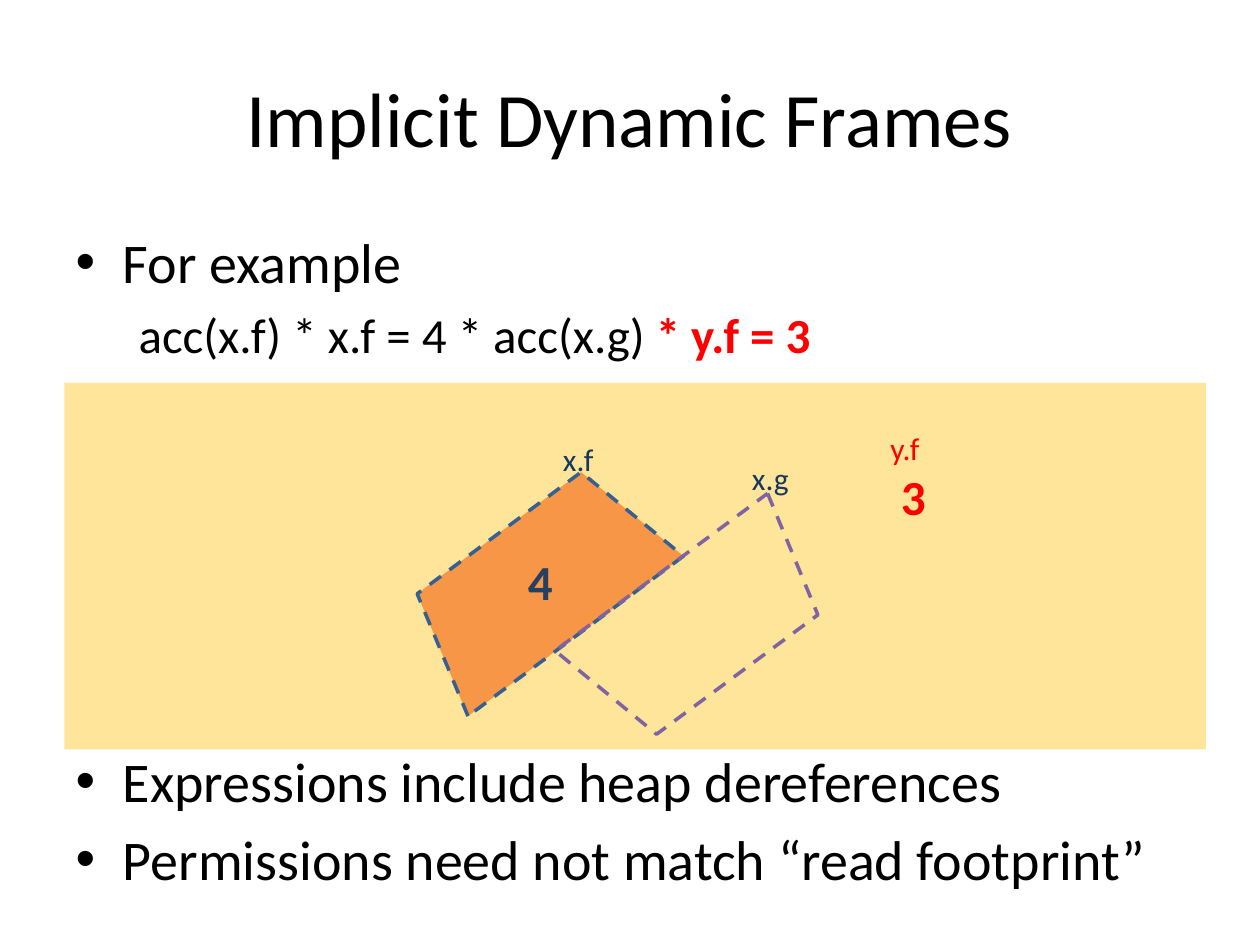
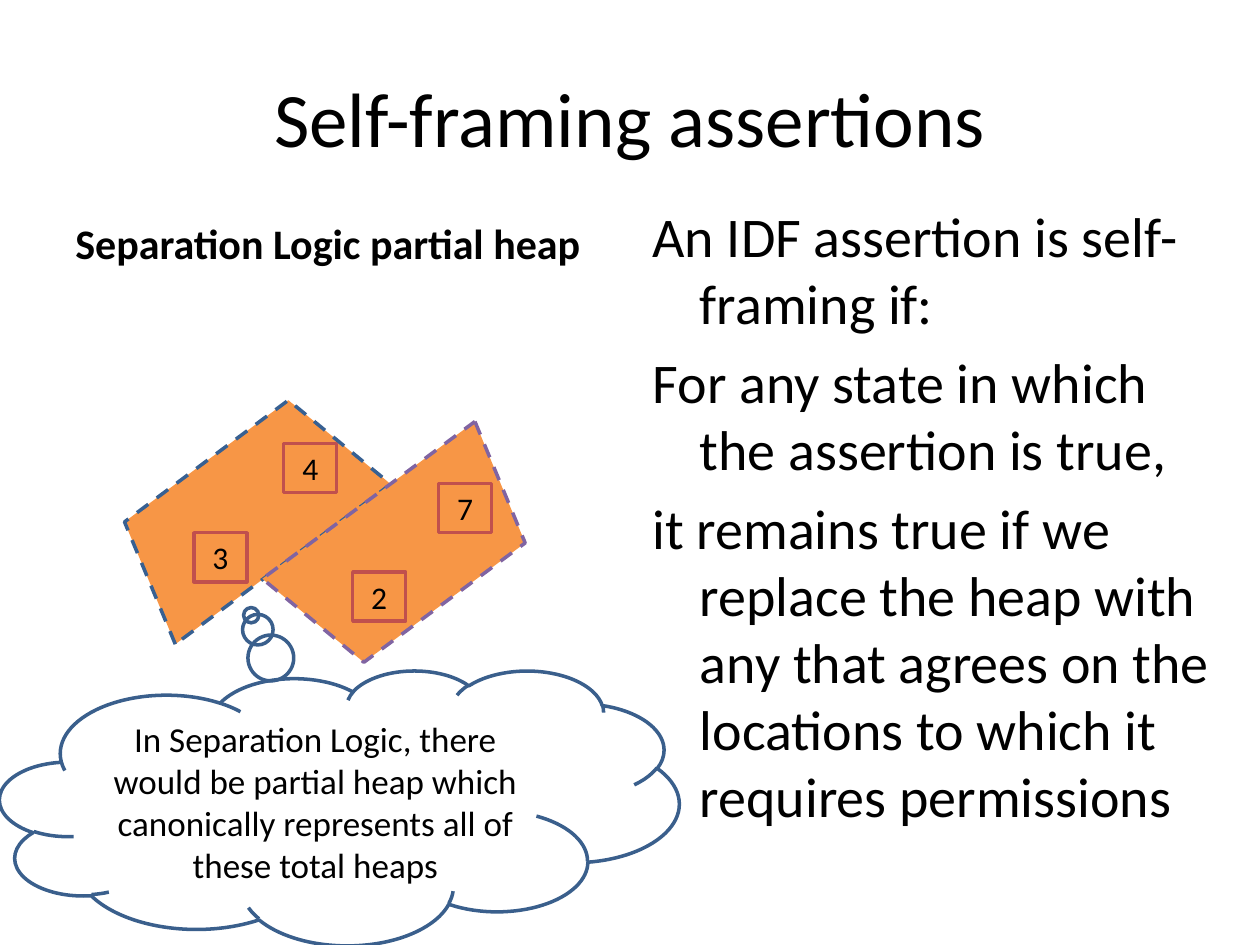
"""Builds two slides on implicit dynamic frames and self-framing assertions."""
from lxml.etree import SubElement
from pptx import Presentation
from pptx.dml.color import RGBColor
from pptx.enum.dml import MSO_LINE
from pptx.enum.shapes import MSO_SHAPE
from pptx.enum.text import MSO_ANCHOR, MSO_AUTO_SIZE, PP_ALIGN
from pptx.oxml.ns import qn
from pptx.util import Cm, Pt

FONT = "Calibri"
BLACK, RED, NAVY, DARK_BLUE = "000000", "FF0000", "17375E", "254061"
ORANGE, BLUE, PURPLE, BRICK = "F79646", "376092", "8064A2", "C0504D"
GOLD, CLOUD_BLUE = "FFC000", "3A5F8C"
HEAPS = [(8.13, 10.49, 5.41, 2.59, 323.4, BLUE), (11.43, 11.28, 5.33, 2.57, 143.5, PURPLE)]


def add_run(p, text, size, color=BLACK, bold=False):
    r = p.add_run()
    r.text = text
    r.font.name = FONT
    r.font.size = Pt(size)
    r.font.bold = bold
    r.font.color.rgb = RGBColor.from_string(color)


def add_box(slide, kind, at, fill=None, line=None):
    sp = slide.shapes.add_shape(kind, *[Cm(v) for v in at])
    sp.shadow.inherit = False
    if fill:
        sp.fill.solid()
        sp.fill.fore_color.rgb = RGBColor.from_string(fill)
    else:
        sp.fill.background()
    if line:
        sp.line.color.rgb = RGBColor.from_string(line)
        sp.line.width = Pt(2)
    else:
        sp.line.fill.background()
    tf = sp.text_frame
    tf.word_wrap = True
    tf.vertical_anchor = MSO_ANCHOR.MIDDLE
    tf.paragraphs[0].alignment = PP_ALIGN.CENTER
    return sp


prs = Presentation()
prs.slide_width, prs.slide_height = Cm(25.4), Cm(19.05)

pages = [
    ("Implicit Dynamic Frames", (1.27, 4.45, 22.86, 14.27), (0, 0), [ORANGE, None], [
        (0, True, [("For example", BLACK, False)]),
        (1, False, [("acc(x.f) * x.f = 4 * acc(x.g) ", BLACK, False),
                    ("* y.f = 3", RED, True)]),
        (0, True, [("Expressions include heap dereferences", BLACK, False)]),
        (0, True, [("Permissions need not match “read footprint”", BLACK, False)]),
    ]),
    ("Self-framing assertions", (12.9, 3.94, 12.19, 13.08), (-5.9, -1.45), [ORANGE, ORANGE], [
        (0, False, [("An IDF assertion is self-framing if:", BLACK, False)]),
        (0, False, [("For any state in which the assertion is true,", BLACK, False)]),
        (0, False, [("it remains true if we replace the heap with any that agrees "
                     "on the locations to which it requires permissions", BLACK, False)]),
    ]),
]

for title, body_at, (dx, dy), fills, items in pages:
    slide = prs.slides.add_slide(prs.slide_layouts[1])
    head, body = slide.placeholders
    head.left, head.top, head.width, head.height = Cm(1.27), Cm(0.76), Cm(22.86), Cm(3.18)
    add_run(head.text_frame.paragraphs[0], title, 44)
    body.left, body.top, body.width, body.height = [Cm(v) for v in body_at]
    tf = body.text_frame
    tf.auto_size = MSO_AUTO_SIZE.NONE
    for i, (level, bullet, runs) in enumerate(items):
        p = tf.paragraphs[0] if i == 0 else tf.add_paragraph()
        p.level = level
        for text, color, bold in runs:
            add_run(p, text, 28 if level else 32, color, bold)
        if not bullet:
            SubElement(p._p.get_or_add_pPr(), qn("a:buNone"))
    for (x, y, w, h, angle, line), fill in zip(HEAPS, fills):
        sp = add_box(slide, MSO_SHAPE.TRAPEZOID, (x + dx, y + dy, w, h), fill, line)
        sp.rotation = angle
        sp.line.dash_style = MSO_LINE.DASH

frames, framing = prs.slides

frames.placeholders[1].text_frame.paragraphs[2].space_before = Pt(219)
band = add_box(frames, MSO_SHAPE.RECTANGLE, (1.3, 7.72, 23.01, 7.39), GOLD)
color = band.element.spPr.find(qn("a:solidFill"))[0]
SubElement(color, qn("a:alpha"), val="40000")
frames.shapes.element.insert(2, band.element)

labels = [
    (frames, "3", (17.91, 9.27, 1.19, 1.45), 28, RED, True),
    (frames, "y.f", (17.7, 8.53, 1.19, 1.02), 18, RED, False),
    (frames, "x.g", (14.91, 9.12, 1.4, 1.02), 18, NAVY, False),
    (frames, "4", (10.39, 11, 1.19, 1.45), 28, DARK_BLUE, True),
    (frames, "x.f", (11.1, 8.74, 1.19, 1.02), 18, NAVY, False),
    (framing, "Separation Logic partial heap", (1.27, 4.27, 11.23, 1.78), 24, BLACK, True),
]
for slide, text, at, size, color, bold in labels:
    tf = slide.shapes.add_textbox(*[Cm(v) for v in at]).text_frame
    tf.word_wrap = True
    add_run(tf.paragraphs[0], text, size, color, bold)

for value, x, y in [("4", 5.72, 8.94), ("3", 3.91, 10.74), ("2", 7.11, 11.53), ("7", 8.84, 9.75)]:
    sp = add_box(framing, MSO_SHAPE.RECTANGLE, (x, y, 1.07, 0.99), line=BRICK)
    add_run(sp.text_frame.paragraphs[0], value, 18)

cloud = add_box(framing, MSO_SHAPE.CLOUD_CALLOUT, (0, 13.51, 13.69, 5.54), line=CLOUD_BLUE)
cloud.adjustments[0], cloud.adjustments[1] = -0.13, -0.7
add_run(cloud.text_frame.paragraphs[0],
        "In Separation Logic, there would be partial heap which "
        "canonically represents all of these total heaps", 20)

prs.save("out.pptx")
